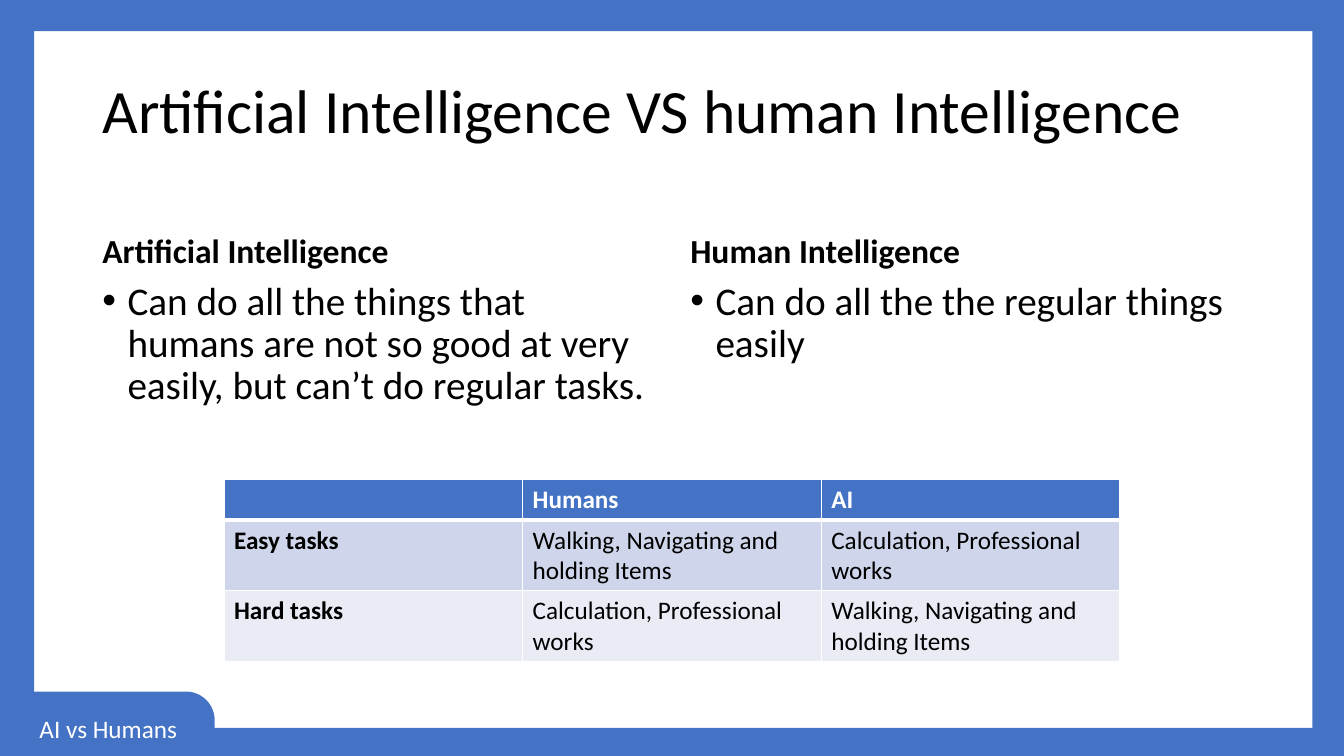
from pptx import Presentation
from pptx.dml.color import RGBColor
from pptx.enum.shapes import MSO_SHAPE
from pptx.enum.text import MSO_ANCHOR, PP_ALIGN
from pptx.util import Pt
from lxml import etree

COLORS = {"blue": "4472C4", "band_dark": "CFD5EA", "band_light": "E9EBF5",
          "white": "FFFFFF", "black": "000000"}
A = "http://schemas.openxmlformats.org/drawingml/2006/main"


def add_text(p, text, size, color="black", bold=False):
    r = p.add_run()
    r.text = text
    r.font.name = "Calibri"
    r.font.size = Pt(size)
    r.font.bold = bold
    r.font.color.rgb = RGBColor.from_string(COLORS[color])


def add_borders(cell, bottom_width):
    """Draw white borders, 1 pt except at the bottom."""
    tcPr = cell._tc.get_or_add_tcPr()
    widths = {"lnL": 1, "lnR": 1, "lnT": 1, "lnB": bottom_width}
    for i, (tag, width) in enumerate(widths.items()):
        ln = etree.Element(f"{{{A}}}{tag}", w=str(Pt(width)))
        fill = etree.SubElement(ln, f"{{{A}}}solidFill")
        etree.SubElement(fill, f"{{{A}}}srgbClr", val=COLORS["white"])
        tcPr.insert(i, ln)


prs = Presentation()
prs.slide_width, prs.slide_height = Pt(960), Pt(540)
s = prs.slides.add_slide(prs.slide_layouts[5])

# Frame and corner tag
frame = [
    (MSO_SHAPE.RECTANGLE, 0, 0, 24.5, 540),
    (MSO_SHAPE.RECTANGLE, 0, 520, 960, 20),
    (MSO_SHAPE.RECTANGLE, 0, 0, 960, 22.3),
    (MSO_SHAPE.RECTANGLE, 937.5, 0, 22.5, 540),
    (MSO_SHAPE.ROUNDED_RECTANGLE, 1.4, 494, 152, 52.6),
]
for kind, *box in frame:
    sp = s.shapes.add_shape(kind, *map(Pt, box))
    sp.shadow.inherit = False
    sp.fill.solid()
    sp.fill.fore_color.rgb = RGBColor.from_string(COLORS["blue"])
    sp.line.fill.background()
tag = sp
tag.adjustments[0] = 0.39
tag.text_frame.vertical_anchor = MSO_ANCHOR.MIDDLE
p = tag.text_frame.paragraphs[0]
p.alignment = PP_ALIGN.CENTER
add_text(p, "AI vs Humans", 18, "white")

# Title
title = s.shapes.title
title.left, title.top, title.width, title.height = map(Pt, (66, 28.8, 828, 104.4))
title.text_frame.vertical_anchor = MSO_ANCHOR.MIDDLE
title.text_frame.word_wrap = True
p = title.text_frame.paragraphs[0]
p.alignment = PP_ALIGN.LEFT
p.line_spacing = 0.9
add_text(p, "Artificial Intelligence VS human Intelligence", 44)

# Two columns, each a heading over a bullet
columns = [
    (66, 406, "Artificial Intelligence",
     "Can do all the things that humans are not so good at very easily, "
     "but can’t do regular tasks."),
    (486, 408, "Human Intelligence", "Can do all the the regular things easily"),
]
for left, width, heading, point in columns:
    parts = [(132.5, 64.8, MSO_ANCHOR.BOTTOM, heading, 24, True),
             (197.3, 290, MSO_ANCHOR.TOP, point, 28, False)]
    for top, height, anchor, text, size, is_heading in parts:
        tf = s.shapes.add_textbox(Pt(left), Pt(top), Pt(width), Pt(height)).text_frame
        tf.word_wrap = True
        tf.vertical_anchor = anchor
        p = tf.paragraphs[0]
        p.line_spacing = 0.9
        p.space_before = Pt(10)
        add_text(p, text, size, bold=is_heading)
        if not is_heading:
            pPr = p._p.get_or_add_pPr()
            pPr.set("marL", str(Pt(18)))
            pPr.set("indent", str(-Pt(18)))
            etree.SubElement(pPr, f"{{{A}}}buFont", typeface="Arial")
            etree.SubElement(pPr, f"{{{A}}}buChar", char="•")

# Task table
body_work = "Walking, Navigating and holding Items"
desk_work = "Calculation, Professional works"
rows = [
    ("blue", 29.2, ["", "Humans", "AI"]),
    ("band_dark", 50.4, ["Easy tasks", body_work, desk_work]),
    ("band_light", 50.4, ["Hard tasks", desk_work, body_work]),
]
table = s.shapes.add_table(3, 3, Pt(160), Pt(342.3), Pt(640), Pt(130)).table
for i, (fill, height, texts) in enumerate(rows):
    table.rows[i].height = Pt(height)
    for j, text in enumerate(texts):
        cell = table.cell(i, j)
        cell.fill.solid()
        cell.fill.fore_color.rgb = RGBColor.from_string(COLORS[fill])
        add_borders(cell, 3 if i == 0 else 1)
        if text:
            add_text(cell.text_frame.paragraphs[0], text, 18,
                     "white" if i == 0 else "black", bold=i == 0 or j == 0)

prs.save("out.pptx")
